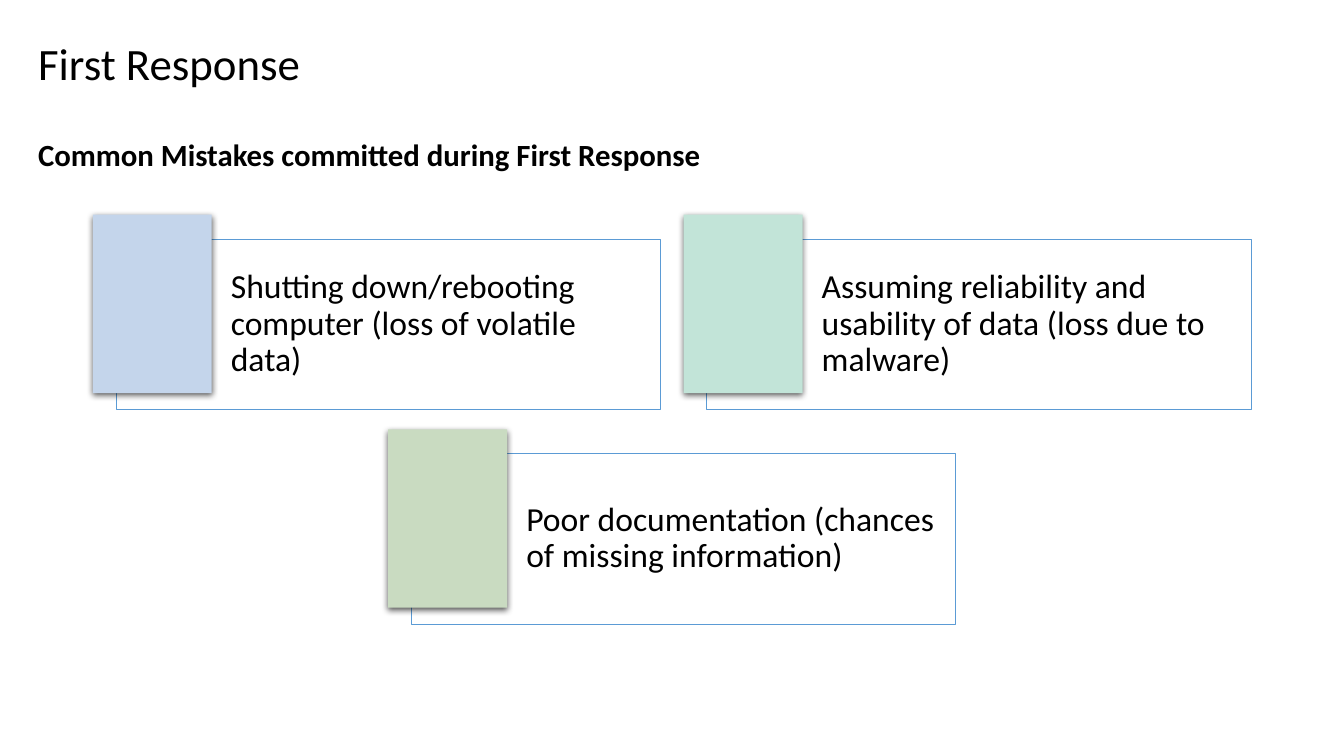
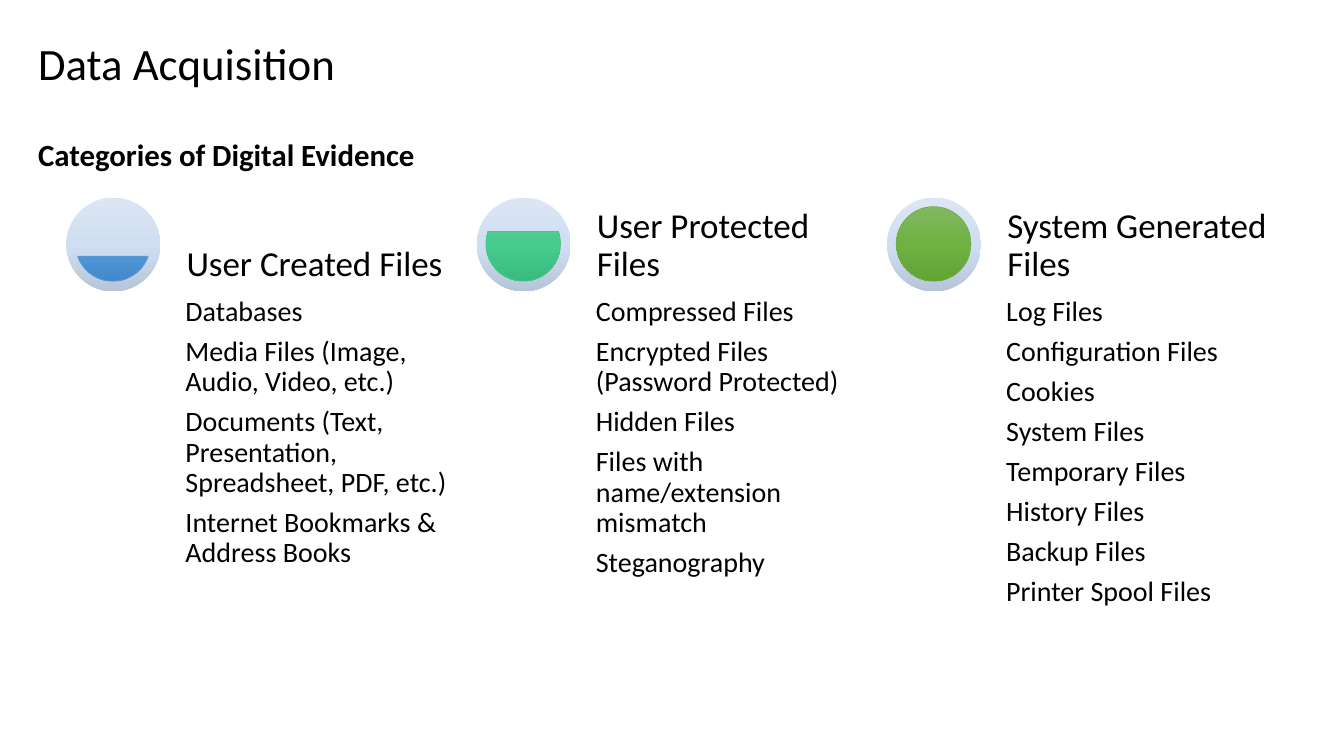
from copy import deepcopy
from lxml import etree
from pptx import Presentation
from pptx.dml.color import RGBColor
from pptx.enum.shapes import MSO_SHAPE as Preset
from pptx.enum.text import MSO_ANCHOR as Anchor, PP_ALIGN as Align
from pptx.oxml.ns import qn
from pptx.util import Inches, Pt

COLORS = {
    "text": "000000",
    "card": "FFFFFF",
    "border": "5B9BD5",
    "green_border": "4DC58D",
    "olive_border": "70AD47",
    "blue_tile": "C4D5EB",
    "mint_tile": "C2E4D8",
    "olive_tile": "C9DBC1",
}
GRADIENTS = {
    "dial": ("DBE5F3", "D0DEF1", "B6C5D9"),
    "blue": ("71A6DB", "559BDB", "448ACA"),
    "green": ("67CC9A", "47CB8E", "39BB7F"),
    "olive": ("81B861", "6FB242", "62A336"),
}


def write(frame, lines, size, anchor=Anchor.TOP, inset=0.1, left=None,
          spacing=0.9, after=7, bold=False, align=Align.LEFT):
    frame.word_wrap = True
    frame.vertical_anchor = anchor
    frame.margin_left = Inches(inset if left is None else left)
    frame.margin_top = frame.margin_right = frame.margin_bottom = Inches(inset)
    for index, line in enumerate(lines):
        paragraph = frame.paragraphs[0] if index == 0 else frame.add_paragraph()
        paragraph.alignment = align
        paragraph.line_spacing = spacing
        paragraph.space_after = Pt(after)
        run = paragraph.add_run()
        run.text = line
        run.font.name = "Calibri"
        run.font.size = Pt(size)
        run.font.bold = bold
        run.font.color.rgb = RGBColor.from_string(COLORS["text"])


def paint(shape, fill, border=None):
    shape.shadow.inherit = False
    if fill in GRADIENTS:
        shape.fill.gradient()
        shape.fill.gradient_angle = 270
        stop_list = next(shape._element.spPr.iter(qn("a:gsLst")))
        stop_list.insert(1, deepcopy(stop_list[0]))
        for index, stop in enumerate(shape.fill.gradient_stops):
            stop.position = index / 2
            stop.color.rgb = RGBColor.from_string(GRADIENTS[fill][index])
    else:
        shape.fill.solid()
        shape.fill.fore_color.rgb = RGBColor.from_string(COLORS[fill])
    if border:
        shape.line.color.rgb = RGBColor.from_string(COLORS[border])
        shape.line.width = Pt(0.5)
    else:
        shape.line.fill.background()


deck = Presentation()
deck.slide_width = Inches(13.33)
deck.slide_height = Inches(7.5)

slides = []
for title, subtitle in (
    ("First Response", "Common Mistakes committed during First Response"),
    ("Data Acquisition", "Categories of Digital Evidence"),
):
    slide = deck.slides.add_slide(deck.slide_layouts[6])
    heading = slide.shapes.add_textbox(Inches(0.28), 0, Inches(12.77), Inches(1.25))
    write(heading.text_frame, [title], 32, Anchor.MIDDLE, spacing=1, after=0)
    subheading = slide.shapes.add_textbox(
        Inches(0.28), Inches(1.25), Inches(12.77), Inches(0.6))
    write(subheading.text_frame, [subtitle], 22, spacing=1, after=12,
          bold=True, align=Align.JUSTIFY)
    slides.append(slide)
mistakes_slide, evidence_slide = slides

mistakes = (
    (0, 0, "blue_tile", "Shutting down/rebooting computer (loss of volatile data)"),
    (2, 0, "mint_tile", "Assuming reliability and usability of data (loss due to malware)"),
    (1, 1, "olive_tile", "Poor documentation (chances of missing information)"),
)
for half_column, row, tile_color, mistake in mistakes:
    left = 0.92 + 2.93 * half_column
    top = 2.13 + 2.13 * row
    card = mistakes_slide.shapes.add_shape(
        Preset.RECTANGLE, Inches(left + 0.23), Inches(top + 0.24),
        Inches(5.4), Inches(1.69))
    paint(card, "card", "border")
    card_color = next(card._element.spPr.iter(qn("a:srgbClr")))
    etree.SubElement(card_color, qn("a:alpha"), val="40000")
    write(card.text_frame, [mistake], 24, Anchor.MIDDLE, left=1.14)

    tile = mistakes_slide.shapes.add_shape(
        Preset.RECTANGLE, Inches(left), Inches(top), Inches(1.18), Inches(1.77))
    paint(tile, tile_color)
    effects = tile._element.spPr.find(qn("a:effectLst"))
    shadow = etree.SubElement(
        effects, qn("a:outerShdw"), blurRad=str(Pt(4.5)), dist=str(Pt(1.5)),
        dir="5400000", algn="ctr", rotWithShape="0")
    shadow_color = etree.SubElement(shadow, qn("a:srgbClr"), val=COLORS["text"])
    etree.SubElement(shadow_color, qn("a:alpha"), val="63000")

categories = (
    ("User Created Files", "blue", "border", (11.68, 96.32), (
        "Databases",
        "Media Files (Image, Audio, Video, etc.)",
        "Documents (Text, Presentation, Spreadsheet, PDF, etc.)",
        "Internet Bookmarks & Address Books")),
    ("User Protected Files", "green", "green_border", (204.32, 119.68), (
        "Compressed Files",
        "Encrypted Files (Password Protected)",
        "Hidden Files",
        "Files with name/extension mismatch",
        "Steganography")),
    ("System Generated Files", "olive", "olive_border", (162, 162), (
        "Log Files", "Configuration Files", "Cookies", "System Files",
        "Temporary Files", "History Files", "Backup Files",
        "Printer Spool Files")),
)
for column, (category, level_color, border, angles, examples) in enumerate(categories):
    left = 0.66 + 4.07 * column
    dial = evidence_slide.shapes.add_shape(
        Preset.OVAL, Inches(left), Inches(1.96), Inches(0.93), Inches(0.93))
    paint(dial, "dial")
    level = evidence_slide.shapes.add_shape(
        Preset.CHORD, Inches(left + 0.09), Inches(2.05), Inches(0.74), Inches(0.74))
    level.adjustments[0], level.adjustments[1] = angles
    paint(level, level_color, border)

    example_list = evidence_slide.shapes.add_textbox(
        Inches(left + 1.12), Inches(2.89), Inches(2.75), Inches(3.92))
    write(example_list.text_frame, examples, 20, inset=0.06)
    category_name = evidence_slide.shapes.add_textbox(
        Inches(left + 1.12), Inches(1.96), Inches(2.75), Inches(0.93))
    write(category_name.text_frame, [category], 25, Anchor.BOTTOM, inset=0.07, after=0)

deck.save("out.pptx")
